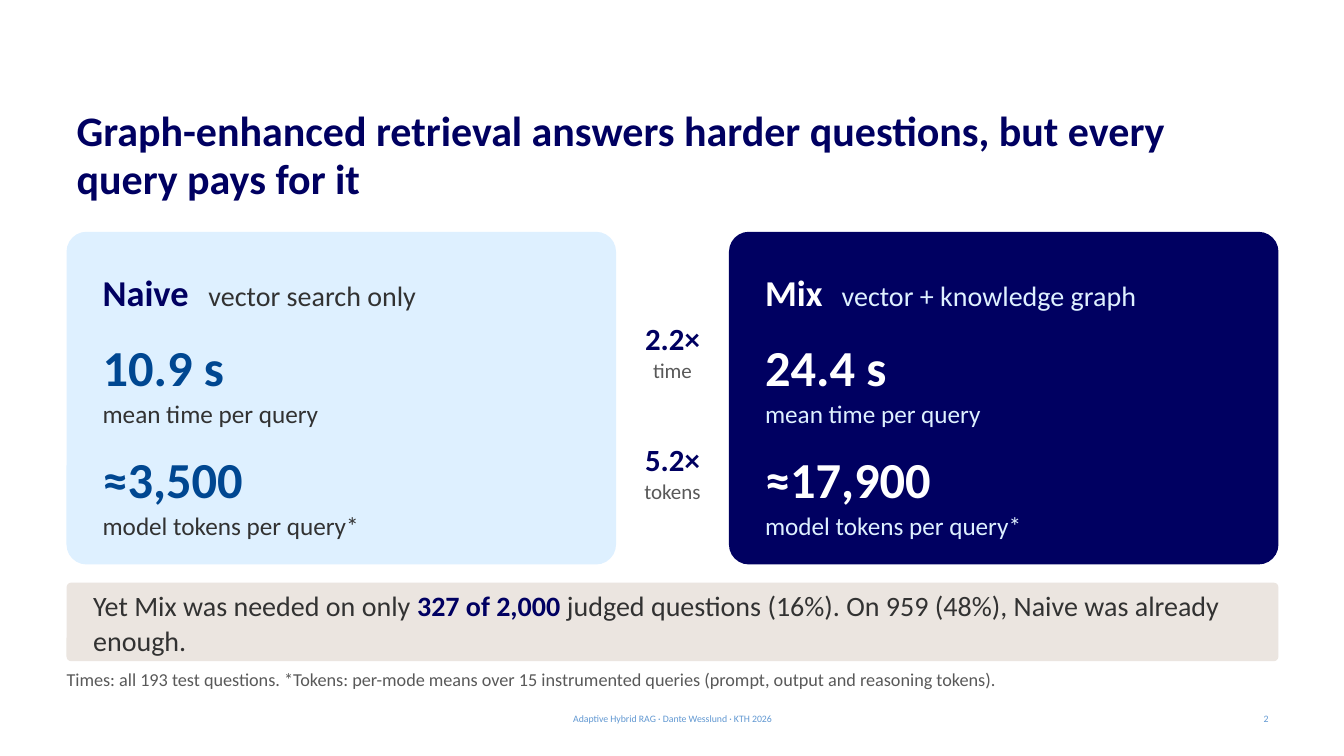
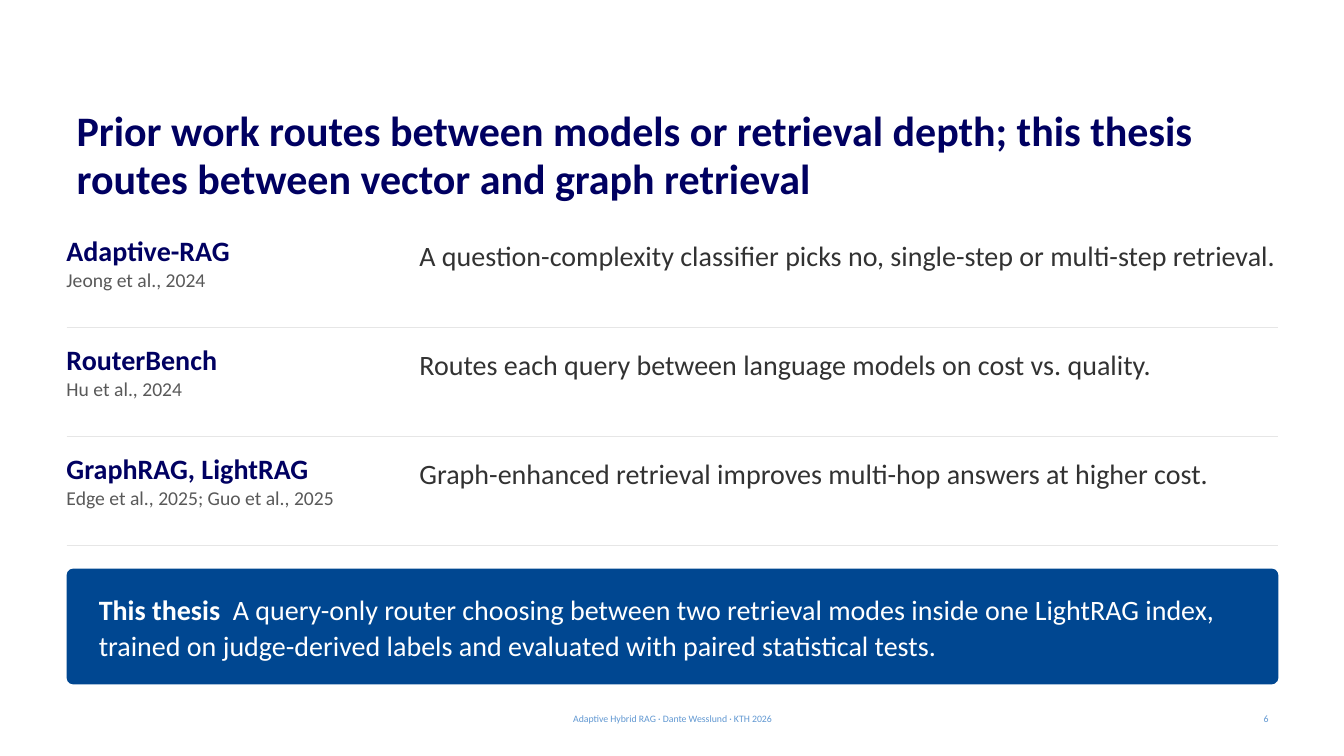
import pptx
import pptx.dml.color
import pptx.enum.shapes
import pptx.enum.text
import pptx.oxml.ns
import pptx.util
from lxml import etree

Inches = pptx.util.Inches
Pt = pptx.util.Pt
ALIGN = pptx.enum.text.PP_ALIGN
ANCHOR = pptx.enum.text.MSO_ANCHOR
qn = pptx.oxml.ns.qn

COLORS = {
    "navy": "000061", "blue": "004791", "pale": "DEF0FF", "footer": "6198D2",
    "ink": "323232", "grey": "595959", "rule": "E6E6E6", "sand": "EBE5E0",
    "white": "FFFFFF",
}
LEFT, WIDTH = 0.66, 12.02
RIGHT = LEFT + WIDTH


def rgb(name):
    """Return the named colour."""
    return pptx.dml.color.RGBColor.from_string(COLORS[name])


def write(paragraph, text, size=20, color="ink", bold=False):
    """Append formatted text to a paragraph."""
    run = paragraph.add_run()
    run.text = text
    run.font.name = "Calibri"
    run.font.size = Pt(size)
    run.font.bold = bold
    run.font.color.rgb = rgb(color)


def line(*runs, after=0, tab=None):
    """Describe a paragraph by its (text, size, colour, bold) runs."""
    return {"runs": runs, "after": after, "tab": tab}


class Deck:
    """Hold the shared style and the current slide."""

    def __init__(self):
        """Start an empty widescreen presentation."""
        self.presentation = pptx.Presentation()
        self.presentation.slide_width = Inches(13.33)
        self.presentation.slide_height = Inches(7.5)
        self.slide = None

    def fill_frame(self, frame, lines, inset=(0, 0, 0, 0), align=ALIGN.LEFT,
                   anchor=ANCHOR.TOP, spacing=1.05):
        """Lay out the described lines in a text frame."""
        frame.word_wrap = True
        frame.auto_size = pptx.enum.text.MSO_AUTO_SIZE.NONE
        frame.vertical_anchor = anchor
        (frame.margin_left, frame.margin_top,
         frame.margin_right, frame.margin_bottom) = map(Inches, inset)
        for index, entry in enumerate(lines):
            paragraph = frame.add_paragraph() if index else frame.paragraphs[0]
            paragraph.alignment = align
            paragraph.line_spacing = spacing
            paragraph.space_after = Pt(entry["after"])
            if entry["tab"]:
                stops = etree.SubElement(paragraph._p.get_or_add_pPr(), qn("a:tabLst"))
                etree.SubElement(stops, qn("a:tab"), pos=str(Inches(entry["tab"])), algn="l")
            for run in entry["runs"]:
                write(paragraph, *run)

    def new_slide(self, headline, number):
        """Add a slide with its headline and footer."""
        self.slide = self.presentation.slides.add_slide(self.presentation.slide_layouts[5])
        title = self.slide.shapes.title
        title.left, title.top, title.width, title.height = map(
            Inches, (LEFT, 0.95, WIDTH, 1.05))
        self.fill_frame(title.text_frame, [line((headline, 30, "navy", True))],
                        inset=(0.1, 0.12, 0.1, 0.05), spacing=0.95)
        for text, left, width, align in (
            ("Adaptive Hybrid RAG · Dante Wesslund · KTH 2026", 4.42, 4.5, ALIGN.CENTER),
            (str(number), 9.68, 3, ALIGN.RIGHT),
        ):
            self.text(left, 7.08, width, 0.1, line((text, 7, "footer")),
                      inset=(0.1, 0.05, 0.1, 0.05), align=align,
                      anchor=ANCHOR.MIDDLE, spacing=1.0)

    def text(self, left, top, width, height, *lines, **layout):
        """Add a text box."""
        box = self.slide.shapes.add_textbox(*map(Inches, (left, top, width, height)))
        self.fill_frame(box.text_frame, lines, **layout)

    def panel(self, left, top, width, height, fill, *lines, inset=0.3, anchor=ANCHOR.MIDDLE):
        """Add a rounded panel with text."""
        panel = self.slide.shapes.add_shape(
            pptx.enum.shapes.MSO_SHAPE.ROUNDED_RECTANGLE,
            *map(Inches, (left, top, width, height)))
        panel.adjustments[0] = 0.06
        panel.shadow.inherit = False
        panel.fill.solid()
        panel.fill.fore_color.rgb = rgb(fill)
        panel.line.fill.background()
        self.fill_frame(panel.text_frame, lines, inset=(inset,) * 4, anchor=anchor)

    def rule(self, top):
        """Add a full-width dividing line."""
        rule = self.slide.shapes.add_connector(
            pptx.enum.shapes.MSO_CONNECTOR.STRAIGHT,
            *map(Inches, (LEFT, top, RIGHT, top)))
        rule.line.color.rgb = rgb("rule")
        rule.line.width = Pt(1)
        etree.SubElement(rule._element.spPr, qn("a:effectLst"))


def build_cost_slide(deck):
    """Compare the cost of the two retrieval modes."""
    deck.new_slide("Graph-enhanced retrieval answers harder questions, "
                   "but every query pays for it", 2)
    card_width = 5.45
    modes = (
        ("Naive", "vector search only", 1.05, "10.9 s", "≈3,500",
         LEFT, "pale", "navy", "blue", "ink"),
        ("Mix", "vector + knowledge graph", 0.76, "24.4 s", "≈17,900",
         RIGHT - card_width, "navy", "white", "white", "pale"),
    )
    for mode, method, tab, seconds, tokens, left, fill, heading, figure, label in modes:
        deck.panel(
            left, 2.3, card_width, 3.3, fill,
            line((mode, 26, heading, True), ("\t" + method, 20, label), after=14, tab=tab),
            line((seconds, 36, figure, True)),
            line(("mean time per query", 18, label), after=12),
            line((tokens, 36, figure, True)),
            line(("model tokens per query*", 18, label), after=6),
            anchor=ANCHOR.TOP)
    for top, ratio, measure in ((3.15, "2.2×", "time"), (4.35, "5.2×", "tokens")):
        deck.text(LEFT + card_width, top, WIDTH - 2 * card_width, 0.9,
                  line((ratio, 22, "navy", True)),
                  line((measure, 15, "grey"), after=6), align=ALIGN.CENTER)
    deck.panel(LEFT, 5.78, WIDTH, 0.78, "sand",
               line(("Yet Mix was needed on only ",),
                    ("327 of 2,000", 20, "navy", True),
                    (" judged questions (16%). On 959 (48%), Naive was already enough.",),
                    after=6), inset=0.25)
    deck.text(LEFT, 6.62, WIDTH, 0.3,
              line(("Times: all 193 test questions. *Tokens: per-mode means over 15 "
                    "instrumented queries (prompt, output and reasoning tokens).",
                    13, "grey"), after=6))


def build_prior_work_slide(deck):
    """Place the thesis among earlier routing work."""
    deck.new_slide("Prior work routes between models or retrieval depth; this thesis "
                   "routes between vector and graph retrieval", 6)
    studies = (
        ("Adaptive-RAG", "Jeong et al., 2024",
         "A question-complexity classifier picks no, single-step or multi-step retrieval."),
        ("RouterBench", "Hu et al., 2024",
         "Routes each query between language models on cost vs. quality."),
        ("GraphRAG, LightRAG", "Edge et al., 2025; Guo et al., 2025",
         "Graph-enhanced retrieval improves multi-hop answers at higher cost."),
    )
    for row, (system, authors, finding) in enumerate(studies):
        top = 2.3 + 1.08 * row
        deck.text(LEFT, top, 3.3, 0.8, line((system, 20, "navy", True)),
                  line((authors, 14, "grey"), after=6))
        deck.text(4.16, top + 0.05, 8.52, 0.8, line((finding,), after=6))
        deck.rule(top + 0.95)
    deck.panel(LEFT, 5.64, WIDTH, 1.15, "blue",
               line(("This thesis", 20, "white", True),
                    ("\tA query-only router choosing between two retrieval modes inside one "
                     "LightRAG index, trained on judge-derived labels and evaluated with "
                     "paired statistical tests.", 20, "white"), after=6, tab=1.33))


def main():
    """Build and save the presentation."""
    deck = Deck()
    build_cost_slide(deck)
    build_prior_work_slide(deck)
    deck.presentation.save("out.pptx")


if __name__ == "__main__":
    main()
